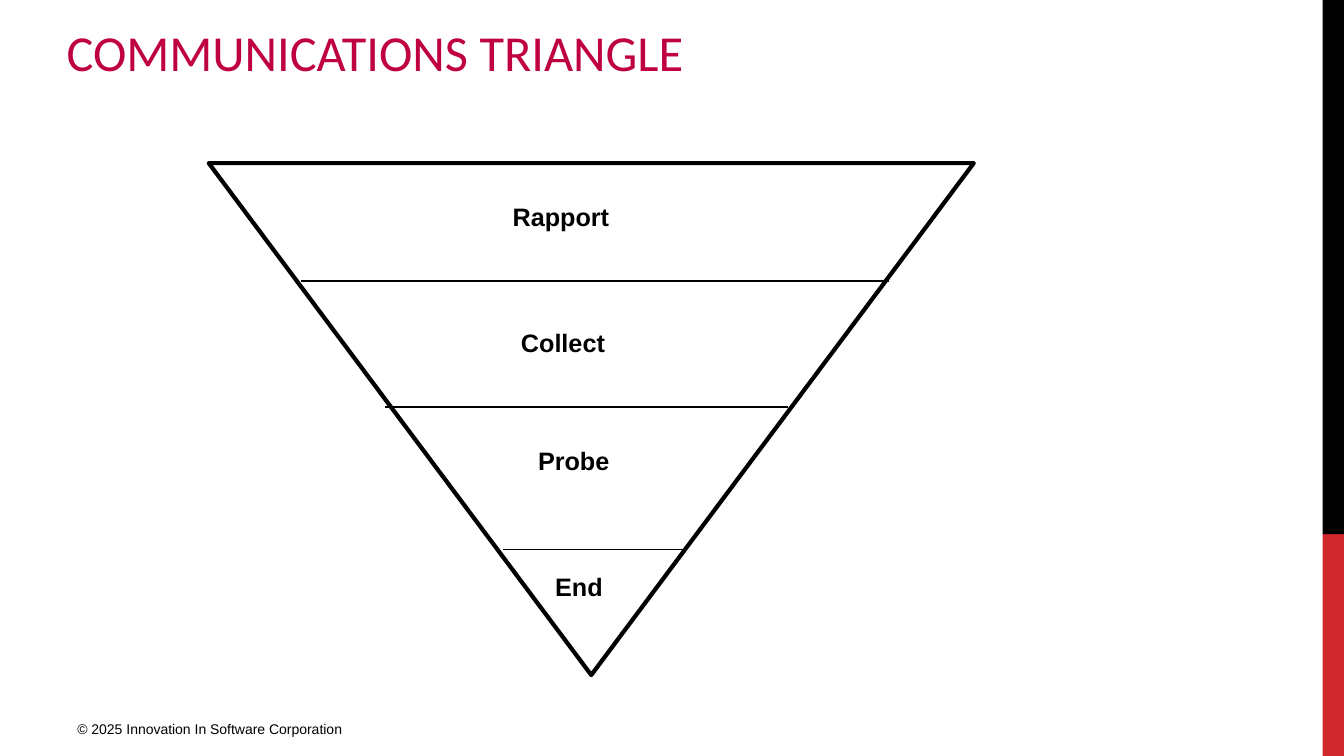
from pptx import Presentation
from pptx.dml.color import RGBColor
from pptx.enum.shapes import MSO_CONNECTOR, MSO_SHAPE
from pptx.enum.text import MSO_ANCHOR, MSO_AUTO_SIZE
from pptx.oxml.ns import qn
from pptx.util import Cm, Pt
from lxml.etree import SubElement

BLACK, RED, CRIMSON = "000000", "D1282E", "BF0041"


def rgb(value):
    return RGBColor.from_string(value)


class Deck:
    def __init__(self, width, height):
        self.prs = Presentation()
        self.prs.slide_width, self.prs.slide_height = Cm(width), Cm(height)
        self.s = self.prs.slides.add_slide(self.prs.slide_layouts[6])
        self.style = {"name": "Arial", "size": Pt(18), "bold": False}

    def shape(self, kind, box, fill=None, line=None, weight=1, rotation=0):
        sp = self.s.shapes.add_shape(kind, *map(Cm, box))
        sp.shadow.inherit = False
        sp.rotation = rotation
        if fill:
            sp.fill.solid()
            sp.fill.fore_color.rgb = rgb(fill)
        else:
            sp.fill.background()
        if line:
            sp.line.color.rgb = rgb(line)
            sp.line.width = Pt(weight)
        else:
            sp.line.fill.background()

    def rule(self, left, right, y, weight):
        cn = self.s.shapes.add_connector(
            MSO_CONNECTOR.STRAIGHT, Cm(left), Cm(y), Cm(right), Cm(y))
        cn.line.color.rgb = rgb(BLACK)
        cn.line.width = Pt(weight)
        SubElement(cn._element.spPr, qn("a:effectLst"))

    def text(self, words, box, color=BLACK, frame=None, spacing=None, **font):
        tf = self.s.shapes.add_textbox(*map(Cm, box)).text_frame
        for key, value in ({"word_wrap": True} | (frame or {})).items():
            setattr(tf, key, value)
        p = tf.paragraphs[0]
        p.line_spacing = spacing
        r = p.add_run()
        r.text = words
        for key, value in (self.style | font).items():
            setattr(r.font, key, value)
        r.font.color.rgb = rgb(color)


def main():
    deck = Deck(33.87, 19.05)
    deck.shape(MSO_SHAPE.RECTANGLE, (33.33, 13.46, 0.54, 5.59), fill=RED)
    deck.shape(MSO_SHAPE.RECTANGLE, (33.33, 0, 0.54, 13.46), fill=BLACK)

    margins = dict.fromkeys(
        ("margin_left", "margin_top", "margin_right", "margin_bottom"), 0)
    deck.text("COMMUNICATIONS TRIANGLE", (1.68, -0.33, 28.3, 3.45), CRIMSON,
              margins | {"vertical_anchor": MSO_ANCHOR.MIDDLE},
              spacing=0.9, name="Calibri", size=Pt(36))

    deck.shape(MSO_SHAPE.ISOSCELES_TRIANGLE, (5.26, 4.11, 19.28, 12.9),
               line=BLACK, weight=3, rotation=180)
    for left, right, y, weight in ((7.59, 22.4, 7.09, 1.5),
                                   (9.7, 19.86, 10.26, 1),
                                   (12.67, 17.32, 13.84, 1)):
        deck.rule(left, right, y, weight)

    label_frame = {"word_wrap": False,
                   "auto_size": MSO_AUTO_SIZE.SHAPE_TO_FIT_TEXT}
    for words, left, top, width in (("Rapport", 12.67, 4.95, 2.95),
                                    ("Collect", 12.88, 8.13, 2.62),
                                    ("Probe", 13.31, 11.1, 2.31),
                                    ("End", 13.74, 14.27, 1.7)):
        deck.text(words, (left, top, width, 0.97), frame=label_frame, bold=True)

    deck.text("© 2025 Innovation In Software Corporation",
              (1.7, 18.03, 12.7, 0.79), size=Pt(10))
    deck.prs.save("out.pptx")


if __name__ == "__main__":
    main()
